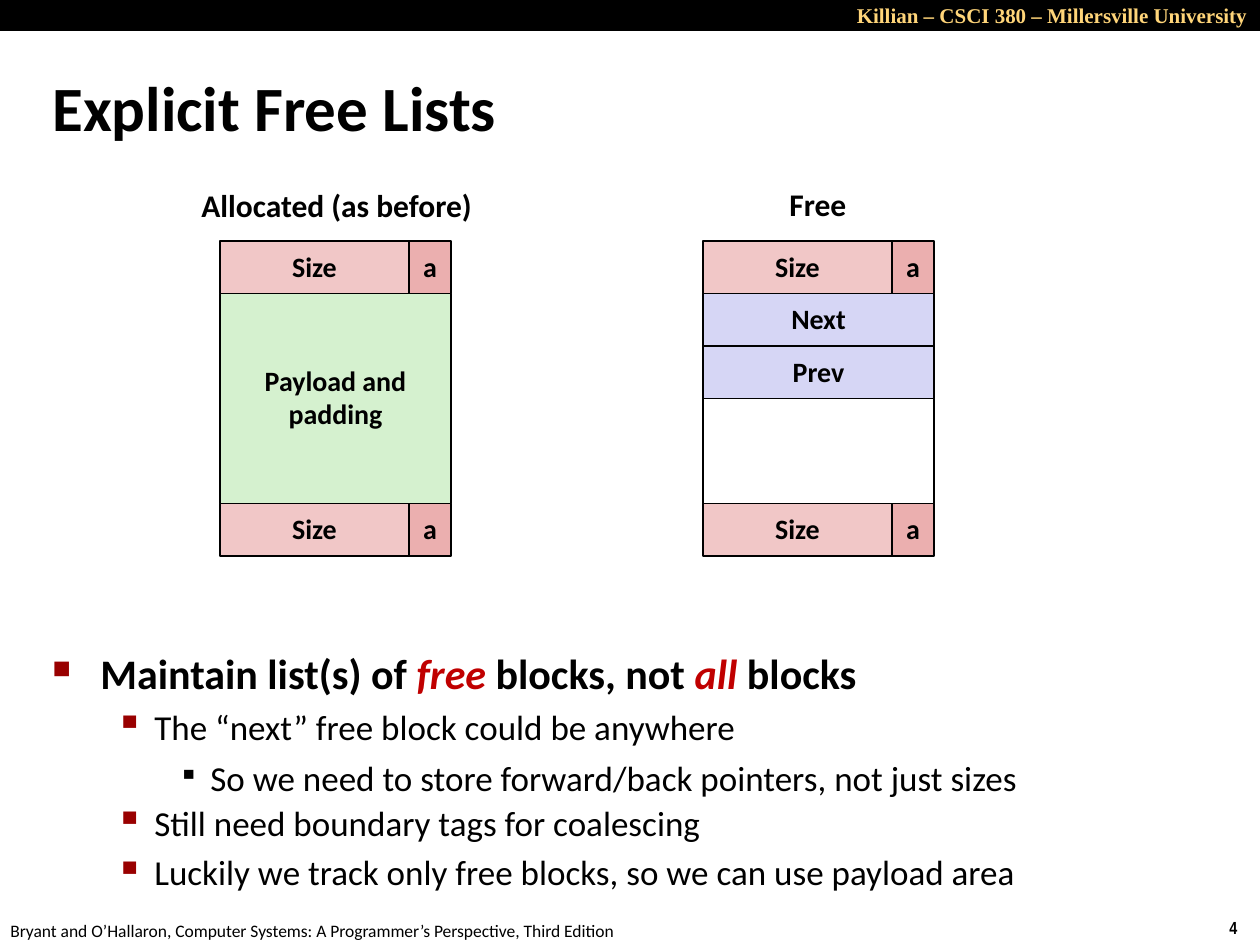
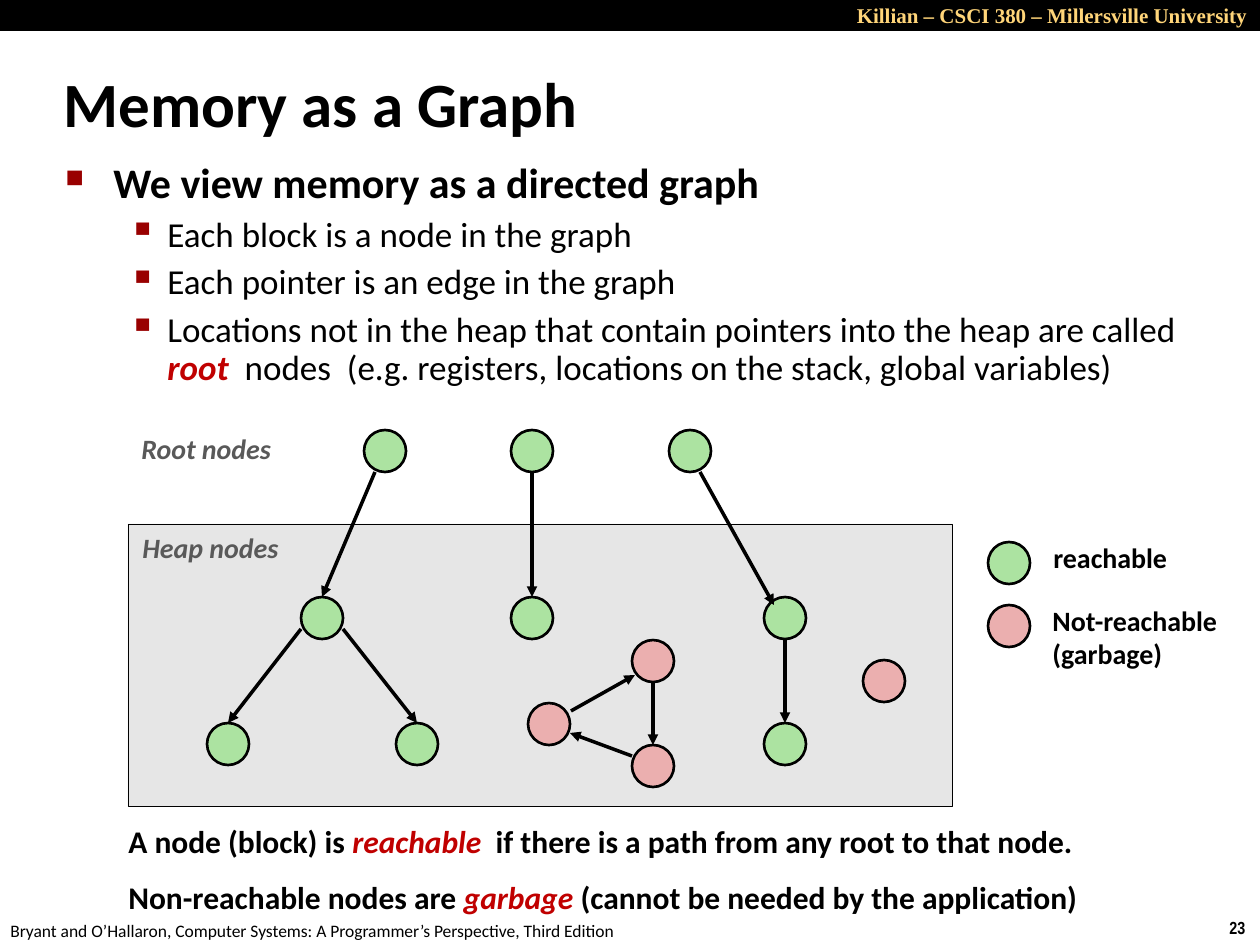
import pptx
import pptx.util
import pptx.dml.color
import pptx.enum.shapes
import pptx.enum.text
import pptx.oxml
import pptx.oxml.ns
from lxml import etree

RGBColor = pptx.dml.color.RGBColor
SHAPE = pptx.enum.shapes.MSO_SHAPE
ALIGN = pptx.enum.text.PP_ALIGN
ANCHOR = pptx.enum.text.MSO_ANCHOR

BLACK = RGBColor(0x00, 0x00, 0x00)
WHITE = RGBColor(0xFF, 0xFF, 0xFF)
GOLD = RGBColor(0xFF, 0xD5, 0x79)
RED = RGBColor(0xC0, 0x00, 0x00)
GREY = RGBColor(0x59, 0x59, 0x59)
HEAP_GREY = RGBColor(0xE6, 0xE6, 0xE6)
SIZE_PINK = RGBColor(0xF1, 0xC7, 0xC7)
FLAG_PINK = RGBColor(0xEB, 0xAF, 0xAF)
PAYLOAD_GREEN = RGBColor(0xD5, 0xF1, 0xCF)
POINTER_BLUE = RGBColor(0xD6, 0xD6, 0xF5)
NODE_GREEN = RGBColor(0xAC, 0xE3, 0xA1)

EMU_PER_PX = 914400 / 126
SLIDE_WIDTH, SLIDE_HEIGHT = 1260, 945

HEADER = "Killian – CSCI 380 – Millersville University"
FOOTER = "Bryant and O’Hallaron, Computer Systems: A Programmer’s Perspective, Third Edition"

BULLETS = [
    {"char": "■", "color": "990000", "percent": 60, "margin": 48, "hang": 48, "size": 24, "bold": True},
    {"char": "▪", "color": "990000", "percent": 110, "margin": 102, "hang": 39, "size": 20, "bold": False},
    {"char": "▪", "color": "000000", "percent": 80, "margin": 158, "hang": 32, "size": 20, "bold": False},
]

LIST_POINTS = [
    (0, 0.85, 4.8, ["Maintain list(s) of ", ("free",), " blocks, not ", ("all",), " blocks"]),
    (1, 1, 4, ["The “next” free block could be anywhere"]),
    (2, 1.07, 4, ["So we need to store forward/back pointers, not just sizes"]),
    (1, 0.9, 4, ["Still need boundary tags for coalescing"]),
    (1, 1, 4, ["Luckily we track only free blocks, so we can use payload area"]),
]
GRAPH_POINTS = [
    (0, 0.85, 12.5, ["We view memory as a directed graph"]),
    (1, 0.9, 5.6, ["Each block is a node in the graph"]),
    (1, 0.9, 5.6, ["Each pointer is an edge in the graph"]),
    (1, 0.9, 5.6, ["Locations not in the heap that contain pointers into the heap are called ",
                   ("root",), "  nodes  (e.g. registers, locations on the stack, global variables)"]),
]
GRAPH_NOTES = [
    ["A node (block) is ", ("reachable",), "  if there is a path from any root to that node."],
    ["Non-reachable nodes are ", ("garbage ",), "(cannot be needed by the application)"],
]

BLOCK_TOP, BLOCK_HEIGHT, BLOCK_ROWS = 241, 315, 6
SIZE_WIDTH, FLAG_WIDTH = 189, 42
BLOCKS = [
    (220, [(1, 4, PAYLOAD_GREEN, ["Payload and", "padding"])]),
    (703, [(3, 2, WHITE, []), (1, 1, POINTER_BLUE, ["Next"]), (2, 1, POINTER_BLUE, ["Prev"])]),
]
BLOCK_LABELS = [
    ((189, 180, 299, 50), "Allocated (as before)"),
    ((777, 179, 83, 50), "Free"),
]

NODE = 42
REACHABLE = {
    "root left": (364, 430), "root middle": (511, 430), "root right": (669, 430),
    "left": (301, 597), "middle": (511, 597), "right": (764, 597),
    "left child": (207, 723), "right child": (396, 723), "tail": (764, 723),
    "legend": (988, 542),
}
GARBAGE = {
    "cycle top": (632, 640), "cycle bottom": (632, 745), "cycle left": (528, 703),
    "lone": (863, 660), "legend": (988, 605),
}
TOP, BOTTOM = (21, 0), (21, 42)
EDGES = [
    ("root left", (11, 42), "left", TOP),
    ("root middle", BOTTOM, "middle", TOP),
    ("root right", (31, 42), "right", (10, 8)),
    ("left", (0, 32), "left child", TOP),
    ("left", (42, 32), "right child", TOP),
    ("right", BOTTOM, "tail", TOP),
    ("cycle top", BOTTOM, "cycle bottom", TOP),
    ("cycle bottom", (0, 11), "cycle left", (42, 30)),
    ("cycle left", (43, 8), "cycle top", (3, 35)),
]
GRAPH_LABELS = [
    ((129, 425, 158, 47), ["Root nodes"], GREY, True),
    ((130, 524, 163, 47), ["Heap nodes"], GREY, True),
    ((1041, 534, 140, 47), ["reachable"], BLACK, False),
    ((1040, 597, 193, 80), ["Not-reachable", "(garbage)"], BLACK, False),
]


def px(length):
    return pptx.util.Emu(round(length * EMU_PER_PX))


def add_run(paragraph, text, size, color=BLACK, bold=True, italic=False, font="Calibri"):
    run = paragraph.add_run()
    run.text = text
    run.font.size = pptx.util.Pt(size)
    run.font.name = font
    run.font.bold = bold
    run.font.italic = italic
    run.font.color.rgb = color


def add_runs(paragraph, pieces, size, bold=True):
    for piece in pieces:
        if isinstance(piece, tuple):
            add_run(paragraph, piece[0], size, RED, True, True)
        else:
            add_run(paragraph, piece, size, bold=bold)


def add_paragraphs(frame, items):
    for index, item in enumerate(items):
        yield (frame.add_paragraph() if index else frame.paragraphs[0]), item


def add_frame(slide, box, wrap=False, anchor=ANCHOR.TOP):
    frame = slide.shapes.add_textbox(*map(px, box)).text_frame
    frame.word_wrap = wrap
    frame.vertical_anchor = anchor
    return frame


def add_label(slide, box, lines, size, align=ALIGN.LEFT, wrap=False, anchor=ANCHOR.TOP, **style):
    paragraph = add_frame(slide, box, wrap, anchor).paragraphs[0]
    paragraph.alignment = align
    for index, line in enumerate(lines):
        if index:
            paragraph.add_line_break()
        add_run(paragraph, line, size, **style)


def add_box(slide, kind, box, fill, line_width=1):
    shape = slide.shapes.add_shape(kind, *map(px, box))
    shape.shadow.inherit = False
    shape.fill.solid()
    shape.fill.fore_color.rgb = fill
    shape.line.color.rgb = BLACK
    shape.line.width = pptx.util.Pt(line_width)
    return shape


def add_cell(slide, box, fill, lines):
    frame = add_box(slide, SHAPE.RECTANGLE, box, fill).text_frame
    frame.word_wrap = False
    frame.vertical_anchor = ANCHOR.MIDDLE
    for paragraph, line in add_paragraphs(frame, lines):
        paragraph.alignment = ALIGN.CENTER
        paragraph.line_spacing = 0.98
        add_run(paragraph, line, 16)


def set_bullet(paragraph, bullet):
    properties = paragraph._p.get_or_add_pPr()
    properties.set("marL", str(px(bullet["margin"])))
    properties.set("indent", str(-px(bullet["hang"])))
    color = etree.SubElement(properties, pptx.oxml.ns.qn("a:buClr"))
    etree.SubElement(color, pptx.oxml.ns.qn("a:srgbClr"), val=bullet["color"])
    etree.SubElement(properties, pptx.oxml.ns.qn("a:buSzPct"), val=str(bullet["percent"] * 1000))
    etree.SubElement(properties, pptx.oxml.ns.qn("a:buChar"), char=bullet["char"])


def add_bullets(slide, box, points):
    frame = add_frame(slide, box, wrap=True)
    for paragraph, (level, spacing, before, pieces) in add_paragraphs(frame, points):
        bullet = BULLETS[level]
        paragraph.level = level
        paragraph.line_spacing = float(spacing)
        paragraph.space_before = pptx.util.Pt(before)
        set_bullet(paragraph, bullet)
        add_runs(paragraph, pieces, bullet["size"], bullet["bold"])


def add_arrow(slide, start, end):
    connector = slide.shapes.add_connector(
        pptx.enum.shapes.MSO_CONNECTOR.STRAIGHT, *map(px, start + end))
    connector.line.color.rgb = BLACK
    connector.line.width = pptx.util.Pt(2)
    etree.SubElement(connector.line._get_or_add_ln(), pptx.oxml.ns.qn("a:tailEnd"), type="triangle")
    etree.SubElement(connector._element.spPr, pptx.oxml.ns.qn("a:effectLst"))


def add_slide(presentation, number, title, title_box):
    slide = presentation.slides.add_slide(presentation.slide_layouts[6])
    band = add_box(slide, SHAPE.RECTANGLE, (0, 0, SLIDE_WIDTH, 31), BLACK)
    band.line.fill.background()
    add_label(slide, (693, -4, 567, 38), [HEADER], 12, ALIGN.RIGHT, True,
              color=GOLD, font="Times New Roman")
    add_label(slide, (1217, 911, 43, 34), [str(number)], 10, font="Arial Narrow")
    add_label(slide, (-2, 914, 640, 34), [FOOTER], 10, bold=False)
    add_label(slide, title_box, [title], 36, wrap=True, anchor=ANCHOR.MIDDLE)
    return slide


def build_free_lists(presentation):
    slide = add_slide(presentation, 4, "Explicit Free Lists", (40, 67, 837, 79))
    add_bullets(slide, (40, 649, 1145, 255), LIST_POINTS)
    row_height = BLOCK_HEIGHT / BLOCK_ROWS
    for left, middle in BLOCKS:
        for row, span, fill, lines in middle:
            add_cell(slide, (left, BLOCK_TOP + row * row_height, SIZE_WIDTH + FLAG_WIDTH,
                             span * row_height), fill, lines)
        for row in (0, BLOCK_ROWS - 1):
            top = BLOCK_TOP + row * row_height
            add_cell(slide, (left, top, SIZE_WIDTH, row_height), SIZE_PINK, ["Size"])
            add_cell(slide, (left + SIZE_WIDTH, top, FLAG_WIDTH, row_height), FLAG_PINK, ["a"])
    for box, text in BLOCK_LABELS:
        add_label(slide, box, [text], 18)


def build_memory_graph(presentation):
    slide = add_slide(presentation, 23, "Memory as a Graph", (51, 63, 873, 79))
    add_box(slide, SHAPE.RECTANGLE, (128, 524, 825, 283), HEAP_GREY, 0.5)
    add_bullets(slide, (53, 158, 1167, 213), GRAPH_POINTS)
    for nodes, fill in ((REACHABLE, NODE_GREEN), (GARBAGE, FLAG_PINK)):
        for left, top in nodes.values():
            add_box(slide, SHAPE.OVAL, (left, top, NODE, NODE), fill, 1.5)
    places = {**REACHABLE, **GARBAGE}
    for source, leave, target, arrive in EDGES:
        start, end = (tuple(map(sum, zip(places[name], offset)))
                      for name, offset in ((source, leave), (target, arrive)))
        add_arrow(slide, start, end)
    for box, lines, color, italic in GRAPH_LABELS:
        add_label(slide, box, lines, 16, color=color, italic=italic)
    notes = add_frame(slide, (116, 819, 1021, 116), wrap=True)
    for paragraph, pieces in add_paragraphs(notes, GRAPH_NOTES):
        paragraph.line_spacing = 0.95
        paragraph.space_before = pptx.util.Pt(11.2)
        add_runs(paragraph, pieces, 18)


def main():
    presentation = pptx.Presentation()
    presentation.slide_width = px(SLIDE_WIDTH)
    presentation.slide_height = px(SLIDE_HEIGHT)
    build_free_lists(presentation)
    build_memory_graph(presentation)
    presentation.save("out.pptx")


if __name__ == "__main__":
    main()
